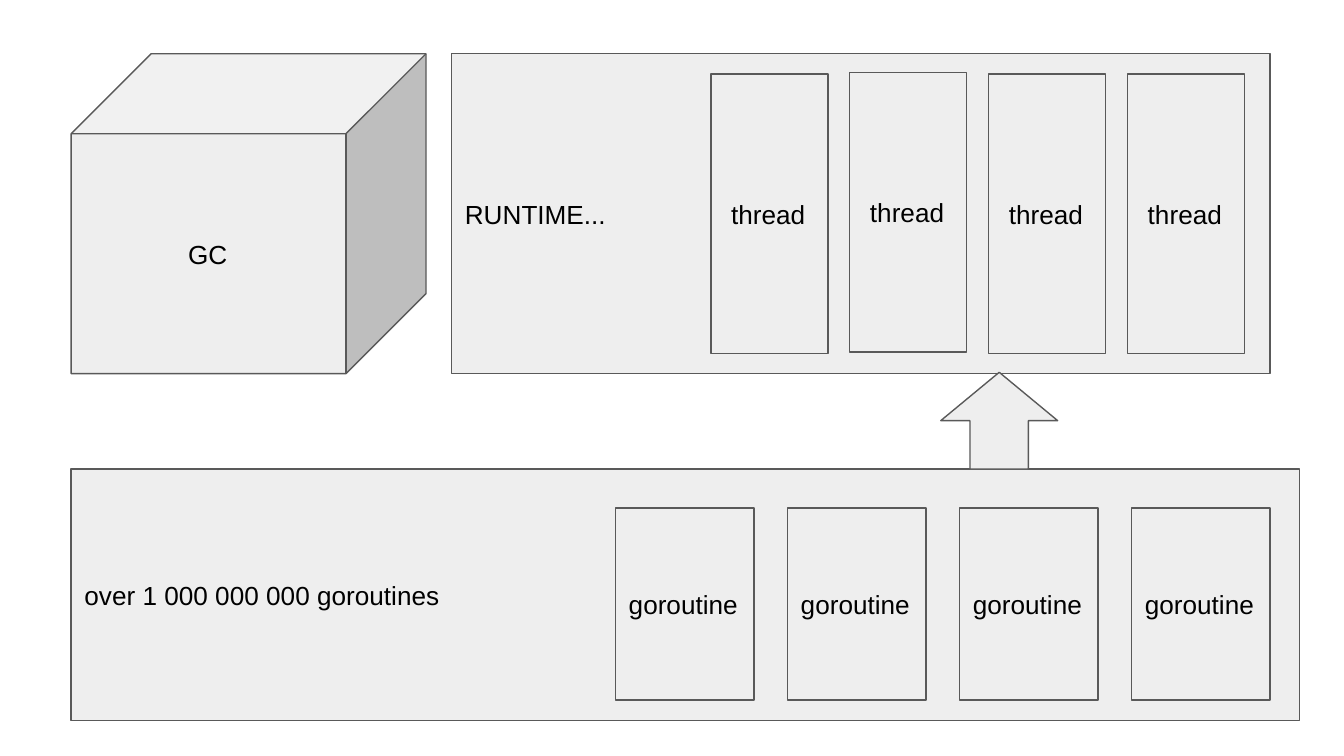
"""Build a slide showing goroutines feeding the threads of a runtime beside its GC."""
from dataclasses import dataclass

from pptx import Presentation
from pptx.dml.color import RGBColor
from pptx.enum.shapes import MSO_SHAPE
from pptx.enum.text import MSO_ANCHOR, PP_ALIGN
from pptx.slide import Slide
from pptx.util import Inches, Pt

RECTANGLE = MSO_SHAPE.RECTANGLE
CUBE = MSO_SHAPE.CUBE
UP_ARROW = MSO_SHAPE.UP_ARROW
MIDDLE = MSO_ANCHOR.MIDDLE
LEFT = PP_ALIGN.LEFT


@dataclass(frozen=True)
class Theme:
    """Colours, type and line settings of the diagram."""

    fill: RGBColor = RGBColor(0xEE, 0xEE, 0xEE)
    outline: RGBColor = RGBColor(0x59, 0x59, 0x59)
    text: RGBColor = RGBColor(0, 0, 0)
    font: str = "Arial"
    text_size: float = 14
    line_width: float = 0.75
    inset: float = 0.1


@dataclass(frozen=True)
class Block:
    """One diagram part, measured in inches."""

    left: float
    top: float
    width: float
    height: float
    label: str = ""
    kind: MSO_SHAPE = RECTANGLE
    text_inset: float = 0.1


THEME = Theme()

SLIDE_WIDTH = 10
SLIDE_HEIGHT = SLIDE_WIDTH * 9 / 16

COLLECTOR = Block(0.53, 0.4, 2.64, 2.38, "GC", CUBE, 0.87)
RUNTIME = Block(3.36, 0.4, 6.09, 2.38, "RUNTIME...")
GOROUTINE_POOL = Block(0.53, 3.49, 9.14, 1.87, "over 1 000 000 000 goroutines")
FEED_ARROW = Block(7, 2.77, 0.87, 0.72, kind=UP_ARROW)

THREAD_TOPS = (0.55, 0.54, 0.55, 0.55)
FIRST_THREAD_LEFT, LAST_THREAD_LEFT = 5.29, 8.39
THREAD_PITCH = (LAST_THREAD_LEFT - FIRST_THREAD_LEFT) / (len(THREAD_TOPS) - 1)
THREADS = [
    Block(FIRST_THREAD_LEFT + i * THREAD_PITCH, top, 0.87, 2.08, "thread", text_inset=0.15)
    for i, top in enumerate(THREAD_TOPS)
]

GOROUTINE_LEFT, GOROUTINE_PITCH, GOROUTINE_COUNT = 4.58, 1.28, 4
GOROUTINES = [
    Block(GOROUTINE_LEFT + i * GOROUTINE_PITCH, 3.78, 1.03, 1.43, "goroutine")
    for i in range(GOROUTINE_COUNT)
]


def draw_block(slide: Slide, block: Block) -> None:
    """Draw a block with its outline and, if it has one, its label."""
    shape = slide.shapes.add_shape(
        block.kind,
        Inches(block.left),
        Inches(block.top),
        Inches(block.width),
        Inches(block.height),
    )
    shape.shadow.inherit = False
    shape.fill.solid()
    shape.fill.fore_color.rgb = THEME.fill
    shape.line.color.rgb = THEME.outline
    shape.line.width = Pt(THEME.line_width)
    if not block.label:
        return

    frame = shape.text_frame
    frame.word_wrap = True
    frame.vertical_anchor = MIDDLE
    frame.margin_left = Inches(block.text_inset)
    frame.margin_right = frame.margin_top = frame.margin_bottom = Inches(THEME.inset)
    frame.text = block.label
    label = frame.paragraphs[0]
    label.alignment = LEFT
    label.font.name = THEME.font
    label.font.size = Pt(THEME.text_size)
    label.font.color.rgb = THEME.text


def main() -> None:
    """Create the presentation and save it."""
    presentation = Presentation()
    presentation.slide_width = Inches(SLIDE_WIDTH)
    presentation.slide_height = Inches(SLIDE_HEIGHT)
    slide = presentation.slides.add_slide(presentation.slide_layouts[6])
    for block in (COLLECTOR, RUNTIME, *THREADS, GOROUTINE_POOL, FEED_ARROW, *GOROUTINES):
        draw_block(slide, block)
    presentation.save("out.pptx")


if __name__ == "__main__":
    main()
